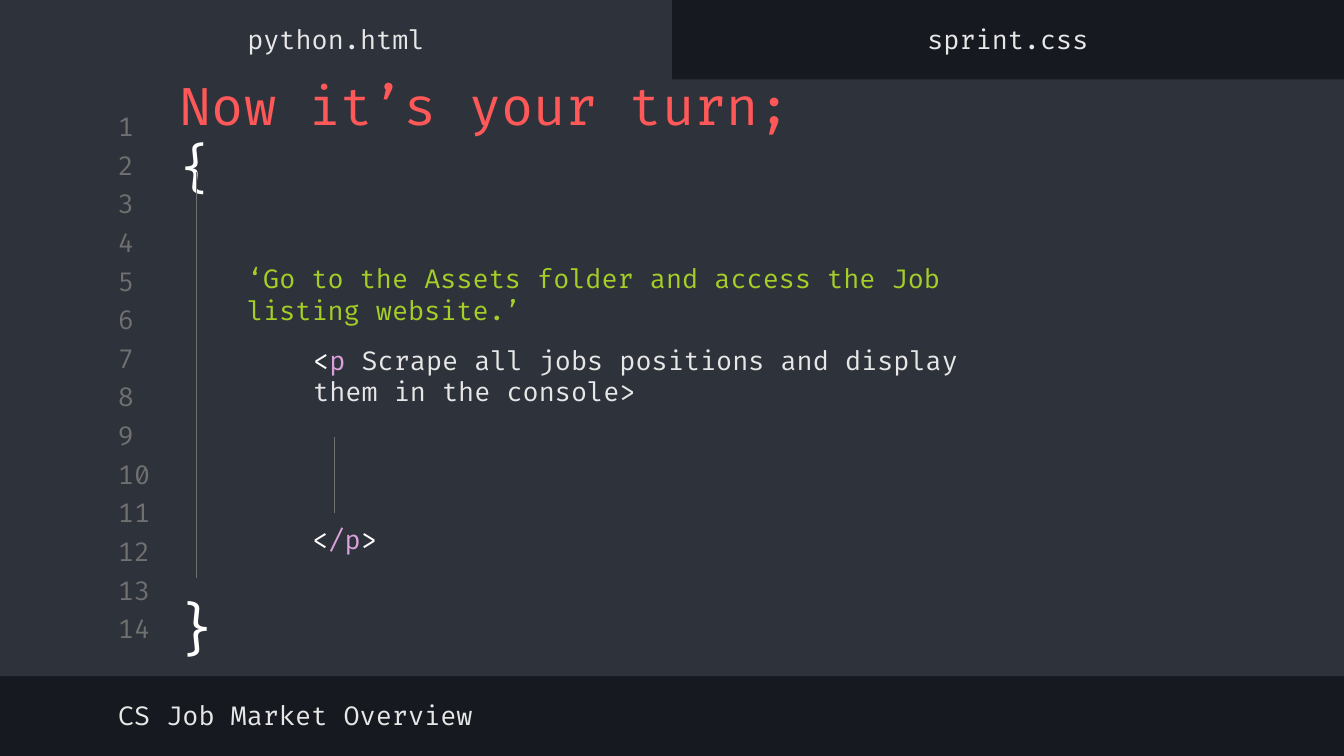
from lxml import etree
from pptx import Presentation
from pptx.dml.color import RGBColor
from pptx.enum.shapes import MSO_CONNECTOR, MSO_SHAPE
from pptx.enum.text import MSO_ANCHOR, PP_ALIGN
from pptx.oxml.ns import qn
from pptx.util import Cm, Pt

RECTANGLE = MSO_SHAPE.RECTANGLE
STRAIGHT = MSO_CONNECTOR.STRAIGHT
TOP, MIDDLE = MSO_ANCHOR.TOP, MSO_ANCHOR.MIDDLE
LEFT, CENTER = PP_ALIGN.LEFT, PP_ALIGN.CENTER

FONT = "Fira Code"
COLORS = {
    "background": "16191F",
    "editor": "2E323B",
    "muted": "707070",
    "red": "FF5858",
    "green": "A5CF27",
    "purple": "DBA0DB",
    "light": "E7E7E7",
    "white": "FFFFFF",
}

SLIDE_WIDTH, SLIDE_HEIGHT = 25.4, 14.29
TAB_WIDTH = SLIDE_WIDTH / 2
MARGIN = 1.98
INSET = 0.25

PANELS = [
    (0, 1.5, SLIDE_WIDTH, 11.28),
    (0, 0, TAB_WIDTH, 1.65),
]

LINE_COUNT = 14
FIRST_LINE_TOP, LINE_STEP = 2.08, 0.73

TITLE = [[("Now it’s your turn; ", "red"), ("{", "white")]]
INSTRUCTIONS = [
    [("‘Go to the Assets folder and access the Job listing website.’", "green")],
    [
        ("<", "white"),
        ("p", "purple"),
        (" Scrape all jobs positions and display them in the console>", "light"),
    ],
]
CLOSING_BRACE = [[("}", "white")]]
CLOSING_TAG = [[("<", "white"), ("/p", "purple"), (">", "white")]]
FOOTER = [[("CS Job Market Overview", "light")]]
TABS = ["python.html", "sprint.css"]

GUIDES = [(3.71, 3.25, 10.92), (6.32, 8.26, 9.7)]


def rgb(name):
    return RGBColor.from_string(COLORS[name])


def add_panel(slide, box):
    shape = slide.shapes.add_shape(RECTANGLE, *map(Cm, box))
    shape.shadow.inherit = False
    shape.fill.solid()
    shape.fill.fore_color.rgb = rgb("editor")
    shape.line.fill.background()


def add_text(slide, box, paragraphs, size=14, align=LEFT, anchor=MIDDLE):
    text_frame = slide.shapes.add_textbox(*map(Cm, box)).text_frame
    text_frame.word_wrap = True
    text_frame.vertical_anchor = anchor
    text_frame.margin_left = text_frame.margin_right = Cm(INSET)
    text_frame.margin_top = text_frame.margin_bottom = Cm(INSET)
    for index, pieces in enumerate(paragraphs):
        paragraph = text_frame.add_paragraph() if index else text_frame.paragraphs[0]
        paragraph.alignment = align
        for text, color in pieces:
            run = paragraph.add_run()
            run.text = text
            run.font.name = FONT
            run.font.size = Pt(size)
            run.font.color.rgb = rgb(color)
    return text_frame


def add_guide(slide, x, top, bottom):
    line = slide.shapes.add_connector(STRAIGHT, Cm(x), Cm(top), Cm(x), Cm(bottom))
    line.line.color.rgb = rgb("muted")
    line.line.width = Pt(0.75)
    etree.SubElement(line._element.spPr, qn("a:effectLst"))


def main():
    presentation = Presentation()
    presentation.slide_width = Cm(SLIDE_WIDTH)
    presentation.slide_height = Cm(SLIDE_HEIGHT)
    slide = presentation.slides.add_slide(presentation.slide_layouts[6])
    slide.background.fill.solid()
    slide.background.fill.fore_color.rgb = rgb("background")

    for box in PANELS:
        add_panel(slide, box)

    for index in range(LINE_COUNT):
        top = FIRST_LINE_TOP + index * LINE_STEP
        add_text(slide, (MARGIN, top, 1.19, 0.61), [[(str(index + 1), "muted")]])

    add_text(slide, (3.15, 1.83, 12.07, 1.47), TITLE, size=28)

    instructions = add_text(slide, (4.42, 4.37, 15.39, 3.91), INSTRUCTIONS)
    nested = instructions.paragraphs[1]
    nested.space_before = Pt(10)
    properties = nested._p.get_or_add_pPr()
    properties.set("marL", str(Cm(1.25)))
    properties.set("indent", "0")

    add_text(slide, (3.02, 10.97, 1.4, 1.8), CLOSING_BRACE, 30, CENTER, TOP)
    for guide in GUIDES:
        add_guide(slide, *guide)
    add_text(slide, (5.59, 9.65, 1.85, 1.12), CLOSING_TAG, 14, CENTER, TOP)

    add_text(slide, (MARGIN, 13.03, 13.51, 0.99), FOOTER)
    for index, name in enumerate(TABS):
        box = (index * TAB_WIDTH, 0.25, TAB_WIDTH, 0.99)
        add_text(slide, box, [[(name, "light")]], align=CENTER)

    presentation.save("out.pptx")


if __name__ == "__main__":
    main()
